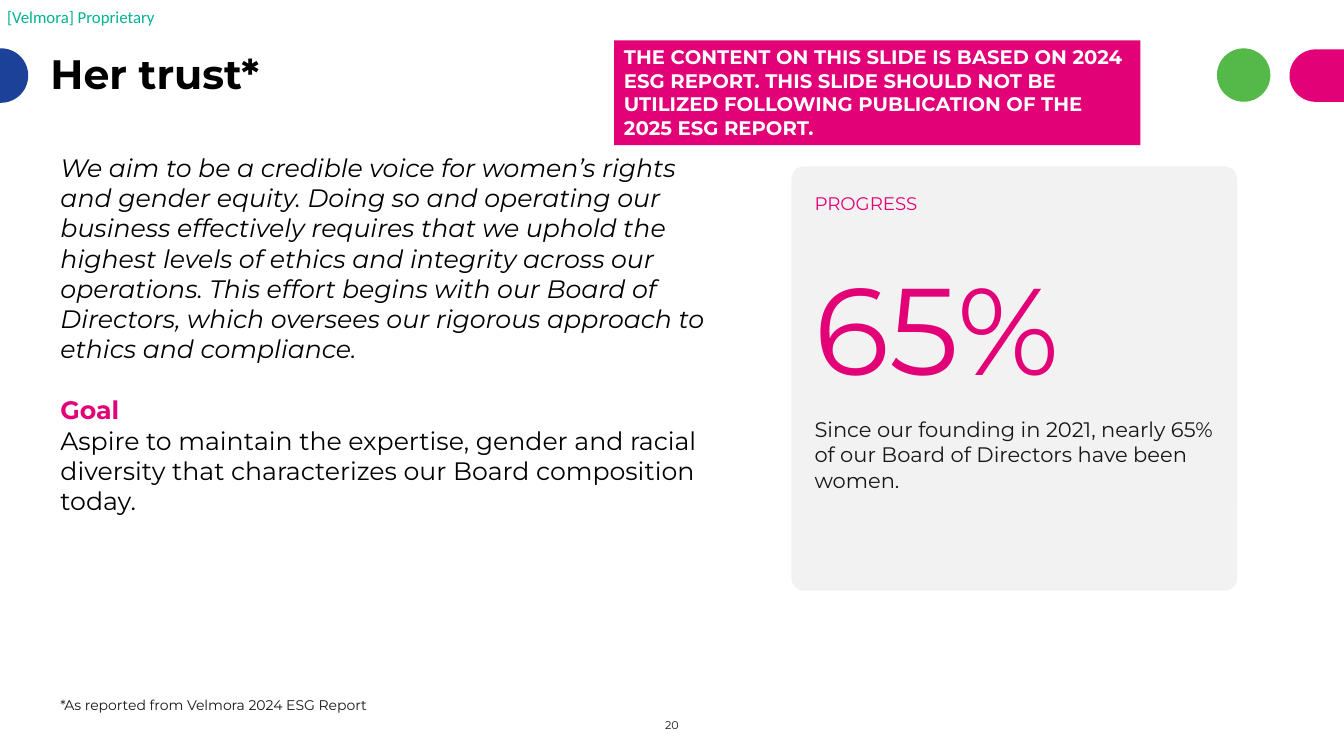
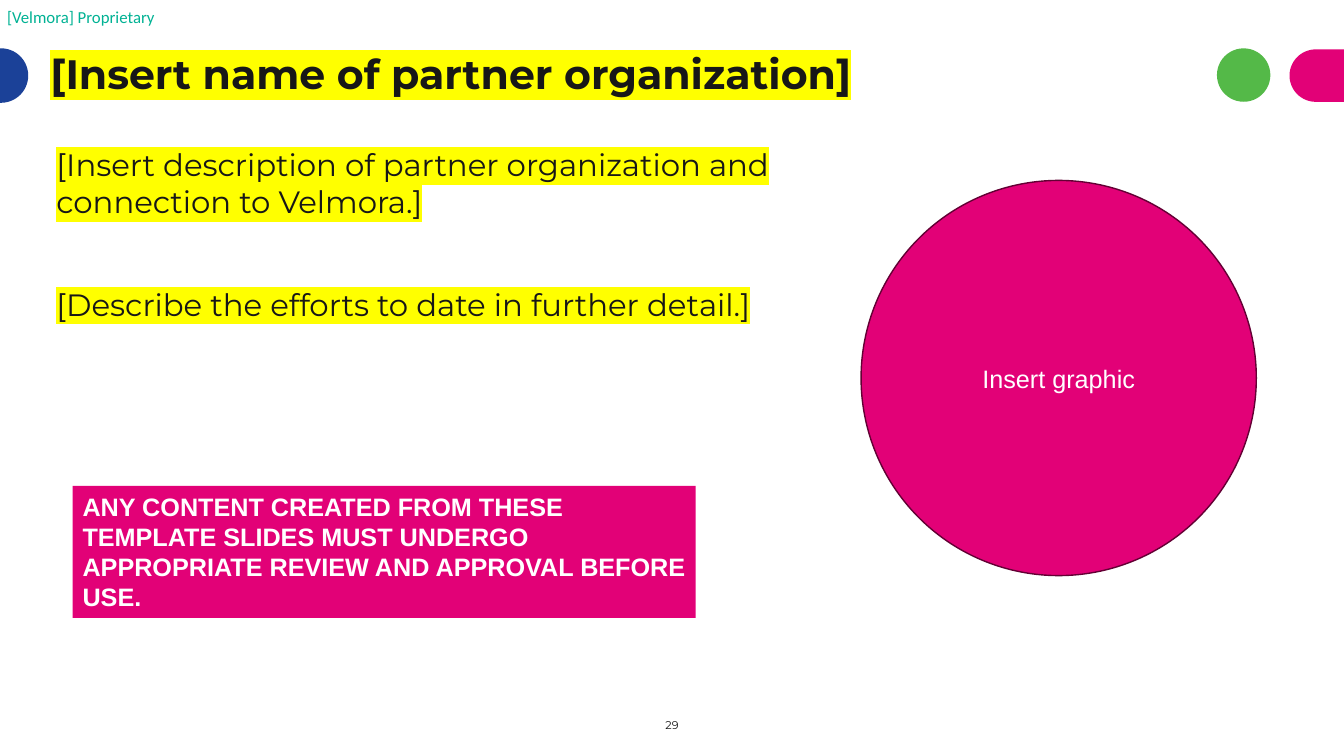
"""Build two slides of an ESG report deck."""
from dataclasses import dataclass
from math import cos, pi, sin

from lxml import etree
from pptx import Presentation
from pptx.dml.color import RGBColor
from pptx.enum import shapes, text
from pptx.oxml.ns import qn
from pptx.util import Emu, Pt

PX = 9144
WIDE, HIGH = 1333, 750
BAND = 75
LEFT = 50
PINK = RGBColor(0xE2, 0x01, 0x77)
PLUM = RGBColor(0x63, 0x00, 0x34)
BLUE = RGBColor(0x1B, 0x41, 0x98)
GREEN = RGBColor(0x54, 0xB9, 0x48)
TEAL = RGBColor(0x00, 0xB2, 0x94)
GREY = RGBColor(0xF2, 0xF2, 0xF2)
INK = RGBColor(0x17, 0x17, 0x17)
BLACK = RGBColor(0, 0, 0)
WHITE = RGBColor(0xFF, 0xFF, 0xFF)
YELLOW = "FFFF00"
SANS = "Montserrat"
KIND = shapes.MSO_SHAPE
TOP, MID = text.MSO_ANCHOR.TOP, text.MSO_ANCHOR.MIDDLE
CENTER = text.PP_ALIGN.CENTER


@dataclass
class Row:
    """Hold the words and style of one paragraph."""
    words: str
    size: float
    tone: RGBColor = INK
    bold: bool = False
    slant: bool = False
    face: str = SANS
    gap: float = 0
    lead: object = None
    mark: bool = False


def emu(*box):
    """Turn px lengths into EMU."""
    return [Emu(round(n * PX)) for n in box]


def put(shape, rows, anchor=TOP, align=text.PP_ALIGN.LEFT, inset=None):
    """Write styled rows into a shape."""
    frame = shape.text_frame
    frame.word_wrap = True
    frame.auto_size = text.MSO_AUTO_SIZE.NONE
    frame.vertical_anchor = anchor
    if inset is not None:
        frame.margin_left = frame.margin_right = inset
        frame.margin_top = frame.margin_bottom = inset
    for n, row in enumerate(rows):
        para = frame.add_paragraph() if n else frame.paragraphs[0]
        run = para.add_run()
        run.text = row.words
        if row.mark:
            glow = etree.SubElement(run._r.get_or_add_rPr(), qn("a:highlight"))
            etree.SubElement(glow, qn("a:srgbClr"), val=YELLOW)
        if shape.is_placeholder:
            props = para._p.get_or_add_pPr()
            props.set("marL", "0")
            props.set("indent", "0")
            etree.SubElement(props, qn("a:buNone"))
        para.alignment = align
        para.space_before = Pt(row.gap)
        if row.lead:
            para.line_spacing = row.lead
        font = para.font
        font.name, font.size = row.face, Pt(row.size)
        font.bold, font.italic = row.bold, row.slant
        font.color.rgb = row.tone


def paint(shape, fill, edge=None):
    """Give a shape a flat fill and an optional outline."""
    shape.shadow.inherit = False
    shape.fill.solid()
    shape.fill.fore_color.rgb = fill
    if edge is None:
        shape.line.fill.background()
    else:
        shape.line.color.rgb = edge
        shape.line.width = Pt(1)
    return shape


def draw(slide, kind, box, fill, edge=None):
    """Add a painted preset shape."""
    return paint(slide.shapes.add_shape(kind, *emu(*box)), fill, edge)


def note(slide, box, rows, **style):
    """Add a text box."""
    put(slide.shapes.add_textbox(*emu(*box)), rows, **style)


def cap(slide, mid, rad, edge, fill):
    """Draw a round-ended tab that runs to a slide edge."""
    way = 1 if edge < mid else -1
    turns = [pi * n / 48 - pi / 2 for n in range(49)]
    dots = [(mid + way * rad * cos(t), BAND + rad * sin(t)) for t in turns]
    dots += [(edge, BAND + rad), (edge, BAND - rad)]
    dots = [emu(*dot) for dot in dots]
    path = slide.shapes.build_freeform(*dots[0])
    path.add_line_segments(dots[1:])
    paint(path.convert_to_shape(), fill)


def base(deck, title, body, box, page):
    """Start a slide with the shared parts, its title and its body."""
    slide = deck.slides.add_slide(deck.slide_layouts[1])
    head, main = slide.placeholders
    for part, place in ((head, (LEFT, 22, 1137, 76)), (main, box)):
        part.left, part.top, part.width, part.height = emu(*place)
    put(head, [title], anchor=text.MSO_ANCHOR.BOTTOM, inset=0)
    put(main, body)
    note(slide, (7, 7, 153, 20),
         [Row("[Velmora] Proprietary", 12, TEAL, face="Calibri")], inset=0)
    draw(slide, KIND.OVAL, (1207, 48, 53, 53), GREEN)
    cap(slide, 1, 27, 0, BLUE)
    cap(slide, 1305, 26, WIDE, PINK)
    note(slide, (644, 688, 45, 62), [Row(page, 8)], anchor=MID, align=CENTER)
    return slide


def alert(slide, box, words, size, face):
    """Add a pink warning box."""
    put(draw(slide, KIND.RECTANGLE, box, PINK),
        [Row(words, size, WHITE, bold=True, face=face)])


def card(slide, box):
    """Add the progress card."""
    x, y, wide, high = box
    back = draw(slide, KIND.ROUNDED_RECTANGLE, box, GREY)
    back.adjustments[0] = 0.03
    pane = draw(slide, KIND.RECTANGLE, (x + 13, y + 21, wide - 13, high - 110), GREY)
    put(pane, [
        Row("PROGRESS", 13, PINK),
        Row("65%", 88, PINK, gap=27),
        Row("Since our founding in 2021, nearly 65% of our Board of Directors "
            "have been women.", 15, gap=12, lead=Pt(18)),
    ])


def trust(deck):
    """Build the trust slide."""
    body = [
        Row("We aim to be a credible voice for women’s rights and gender equity. "
            "Doing so and operating our business effectively requires that we "
            "uphold the highest levels of ethics and integrity across our "
            "operations. This effort begins with our Board of Directors, which "
            "oversees our rigorous approach to ethics and compliance.",
            18, BLACK, slant=True),
        Row("Goal", 18, PINK, bold=True, gap=22),
        Row("Aspire to maintain the expertise, gender and racial diversity that "
            "characterizes our Board composition today.", 18, BLACK),
    ]
    title = Row("Her trust*", 29.3, BLACK, bold=True, lead=0.9)
    slide = base(deck, title, body, (LEFT, 146, 668, 374), "20")
    alert(slide, (609, 40, 522, 104),
          "THE CONTENT ON THIS SLIDE IS BASED ON 2024 ESG REPORT. THIS SLIDE "
          "SHOULD NOT BE UTILIZED FOLLOWING PUBLICATION OF THE 2025 ESG REPORT.",
          14, SANS)
    note(slide, (LEFT, 686, 668, 27),
         [Row("*As reported from Velmora 2024 ESG Report", 10)])
    card(slide, (785, 165, 442, 421))


def ally(deck):
    """Build the partner slide."""
    body = [
        Row("[Insert description of partner organization and connection to "
            "Velmora.]", 22, mark=True),
        Row("[Describe the efforts to date in further detail.]", 22,
            gap=47, mark=True),
    ]
    title = Row("[Insert name of partner organization]", 29.3, bold=True,
                lead=0.9, mark=True)
    slide = base(deck, title, body, (46, 140, 780, 500), "29")
    disc = draw(slide, KIND.OVAL, (854, 179, 392, 392), PINK, PLUM)
    put(disc, [Row("Insert graphic", 18, WHITE, face="Arial")],
        anchor=MID, align=CENTER)
    alert(slide, (72, 482, 618, 131),
          "ANY CONTENT CREATED FROM THESE TEMPLATE SLIDES MUST UNDERGO "
          "APPROPRIATE REVIEW AND APPROVAL BEFORE USE.", 18, "Arial")


def main():
    """Build and save the deck."""
    deck = Presentation()
    deck.slide_width, deck.slide_height = emu(WIDE, HIGH)
    trust(deck)
    ally(deck)
    deck.save("out.pptx")


if __name__ == "__main__":
    main()
